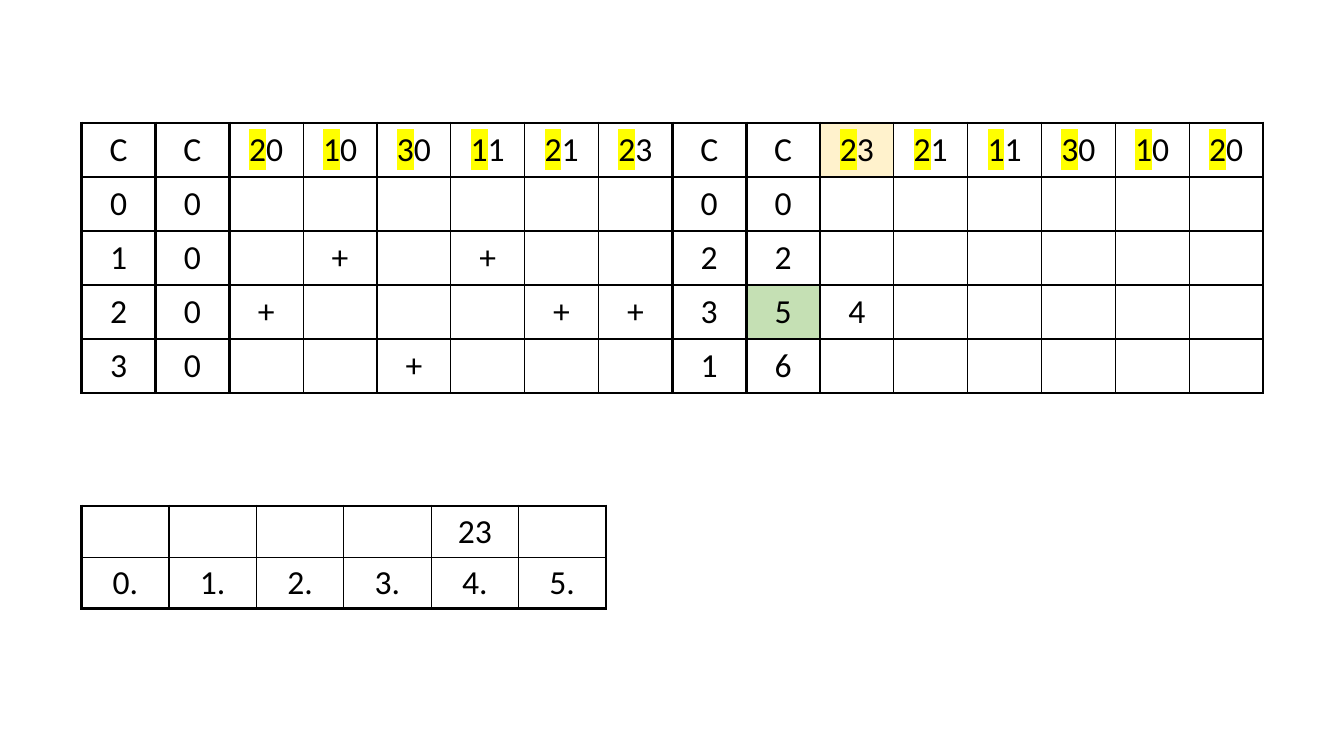
from lxml.etree import SubElement
from pptx import Presentation
from pptx.dml.color import RGBColor as RGB
from pptx.enum.text import MSO_ANCHOR as ANCHOR, PP_ALIGN as ALIGN
from pptx.oxml.ns import qn
from pptx.util import Inches, Pt

COLORS = {"ink": "000000", "mark": "FFFF00", "cream": "FFF2CC", "green": "C5E0B4"}
THIN, THICK = Pt(1), Pt(2.25)


class Deck:
    font, size = "Calibri", Pt(24)

    def __init__(self, prs):
        self.s = prs.slides.add_slide(prs.slide_layouts[6])

    def table(self, box, rows, thick_v, thick_h, pad=(0.1, 0.05), fills={}, marked_row=None):
        left, top, width, height = box
        n_rows, n_cols = len(rows), len(rows[0])
        sp = self.s.shapes.add_table(n_rows, n_cols, *map(Inches, box))
        tbl = sp.table
        tbl.first_row = tbl.horz_banding = False
        for col in tbl.columns:
            col.width = Inches(width / n_cols)
        for row in tbl.rows:
            row.height = Inches(height / n_rows)
        for r, values in enumerate(rows):
            for c, value in enumerate(values):
                cell = tbl.cell(r, c)
                cell.vertical_anchor = ANCHOR.MIDDLE
                cell.margin_left = cell.margin_right = Inches(pad[0])
                cell.margin_top = cell.margin_bottom = Inches(pad[1])
                self.borders(cell, L=thick_v(c, r), R=thick_v(c + 1, r),
                             T=thick_h(r, c), B=thick_h(r + 1, c))
                self.fill(cell, fills.get((r, c)))
                self.text(cell, value, r == marked_row and len(value) > 1)

    def borders(self, cell, **sides):
        tc_pr = cell._tc.get_or_add_tcPr()
        for side, thick in sides.items():
            ln = SubElement(tc_pr, qn(f"a:ln{side}"), w=str(THICK if thick else THIN))
            solid = SubElement(ln, qn("a:solidFill"))
            SubElement(solid, qn("a:srgbClr"), val=COLORS["ink"])

    def fill(self, cell, color):
        if color:
            cell.fill.solid()
            cell.fill.fore_color.rgb = RGB.from_string(COLORS[color])
        else:
            cell.fill.background()

    def text(self, cell, value, marked):
        p = cell.text_frame.paragraphs[0]
        p.alignment = ALIGN.CENTER
        p.font.name, p.font.size = self.font, self.size
        p.font.color.rgb = RGB.from_string(COLORS["ink"])
        for part in (value if marked else [value] if value else []):
            p.add_run().text = part
        if marked:
            highlight = SubElement(p.runs[0]._r.get_or_add_rPr(), qn("a:highlight"))
            SubElement(highlight, qn("a:srgbClr"), val=COLORS["mark"])


def main():
    prs = Presentation()
    prs.slide_width, prs.slide_height = Inches(13.33), Inches(7.5)
    deck = Deck(prs)

    numbers = ["20", "10", "30", "11", "21", "23"]
    blank = [""] * 6
    sorting = [
        ["C", "C", *numbers, "C", "C", *reversed(numbers)],
        ["0", "0", *blank, "0", "0", *blank],
        ["1", "0", "", "+", "", "+", "", "", "2", "2", *blank],
        ["2", "0", "+", "", "", "", "+", "+", "3", "5", "4", *blank[1:]],
        ["3", "0", "", "", "+", "", "", "", "1", "6", *blank],
    ]
    counters = {0, 1, 8, 9}
    counter_edges = counters | {c + 1 for c in counters}
    deck.table(
        (0.81, 1.22, 11.72, 2.68), sorting,
        thick_v=lambda edge, row: edge in counter_edges or (edge == 16 and row == 0),
        thick_h=lambda edge, col: edge < 2 or (edge == 5 and col in counters),
        pad=(0.13, 0.06),
        fills={(0, 10): "cream", (3, 9): "green"},
        marked_row=0,
    )

    result = [["", "", "", "", "23", ""], [f"{i}." for i in range(6)]]
    deck.table(
        (0.81, 5.02, 5.2, 1), result,
        thick_v=lambda edge, row: edge in (0, 6),
        thick_h=lambda edge, col: edge in (0, 2),
    )
    prs.save("out.pptx")


if __name__ == "__main__":
    main()
